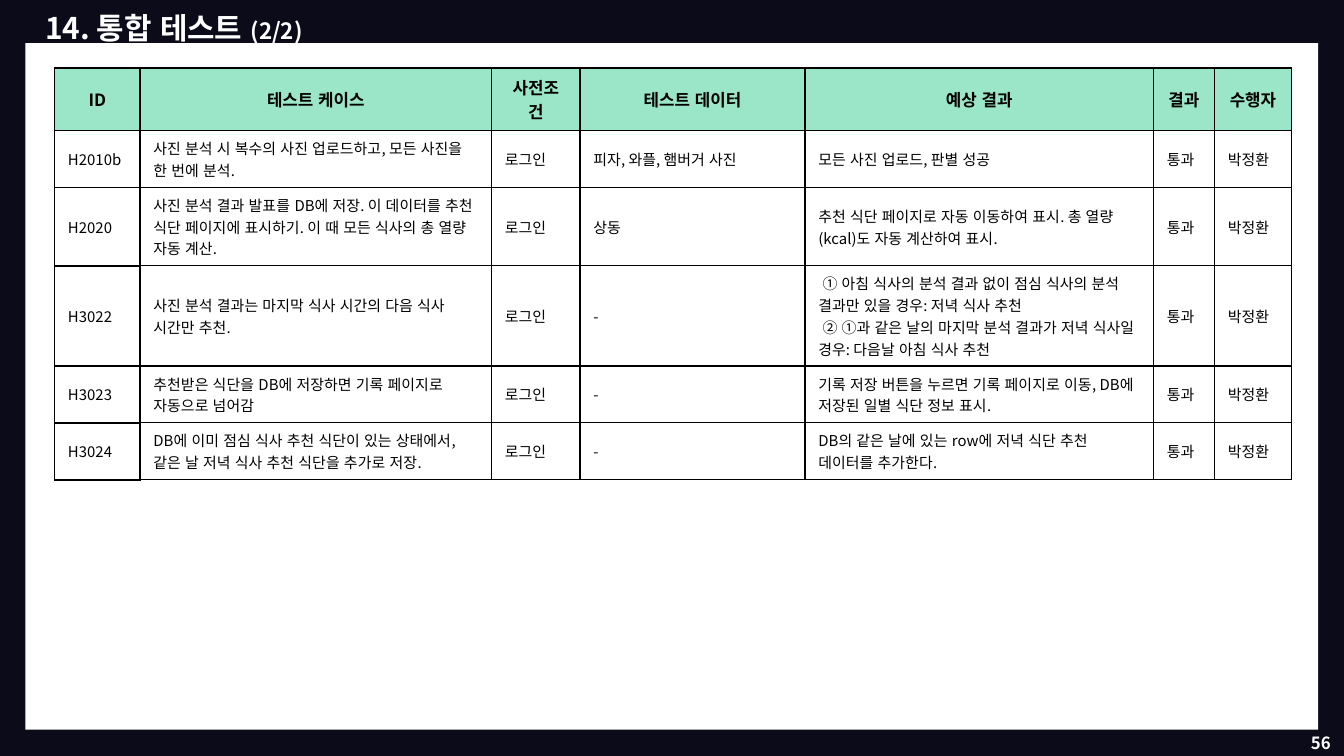
import pptx
import pptx.util
import pptx.dml.color
import pptx.enum.lang
import pptx.enum.shapes
import pptx.enum.text
import pptx.oxml
import pptx.oxml.ns
from lxml import etree

RGBColor = pptx.dml.color.RGBColor
PP_ALIGN = pptx.enum.text.PP_ALIGN
MIDDLE = pptx.enum.text.MSO_ANCHOR.MIDDLE
KOREAN = pptx.enum.lang.MSO_LANGUAGE_ID.KOREAN
qn = pptx.oxml.ns.qn

NAVY = RGBColor(0x0B, 0x0B, 0x1A)
WHITE = RGBColor(0xFF, 0xFF, 0xFF)
BLACK = RGBColor(0, 0, 0)
MINT = RGBColor(0x9B, 0xE5, 0xC8)
FONT = "Noto Sans CJK KR"

SLIDE_WIDTH = pptx.util.Inches(10)
SLIDE_HEIGHT = SLIDE_WIDTH * 9 // 16
UNIT = SLIDE_WIDTH // 100  # square grid, 100 columns across the slide

COLUMN_WIDTHS = (6.36, 26.15, 6.59, 16.74, 25.93, 4.54, 5.73)
ROW_HEIGHTS = (4.63, 4.24, 5.84, 7.45, 4.24, 4.24)
THIN, THICK = 0.78, 1

# Boxes are left, top, width, height in grid units.
PAGE_BOX = (1.88, 2, 96.2, 52.3)
NUMBER_BOX = (94, 53.1, 6, 4.3)
TABLE_BOX = (4.06, 5.07, sum(COLUMN_WIDTHS), sum(ROW_HEIGHTS))
TITLE_BOX = (1.64, 0, 96.7, 3.2)

HEADERS = ("ID", "테스트 케이스", "사전조건", "테스트 데이터", "예상 결과", "결과", "수행자")
PRECONDITION, RESULT, TESTER = "로그인", "통과", "박정환"
# ID, test case, test data, expected result
TESTS = (
    ("H2010b", "사진 분석 시 복수의 사진 업로드하고, 모든 사진을 한 번에 분석.",
     "피자, 와플, 햄버거 사진", "모든 사진 업로드, 판별 성공"),
    ("H2020", "사진 분석 결과 발표를 DB에 저장. 이 데이터를 추천 식단 페이지에 표시하기. "
     "이 때 모든 식사의 총 열량 자동 계산.",
     "상동", "추천 식단 페이지로 자동 이동하여 표시. 총 열량(kcal)도 자동 계산하여 표시."),
    ("H3022", "사진 분석 결과는 마지막 식사 시간의 다음 식사 시간만 추천.",
     "-", " ① 아침 식사의 분석 결과 없이 점심 식사의 분석 결과만 있을 경우: 저녁 식사 추천\n"
     " ② ①과 같은 날의 마지막 분석 결과가 저녁 식사일 경우: 다음날 아침 식사 추천"),
    ("H3023", "추천받은 식단을 DB에 저장하면 기록 페이지로 자동으로 넘어감",
     "-", "기록 저장 버튼을 누르면 기록 페이지로 이동, DB에 저장된 일별 식단 정보 표시."),
    ("H3024", "DB에 이미 점심 식사 추천 식단이 있는 상태에서, 같은 날 저녁 식사 추천 식단을 추가로 저장.",
     "-", "DB의 같은 날에 있는 row에 저녁 식단 추천 데이터를 추가한다."),
)


def units(count):
    return pptx.util.Emu(round(count * UNIT))


def place(box):
    return [units(length) for length in box]


def style_paragraph(paragraph, size, color, bold, alignment=PP_ALIGN.LEFT):
    paragraph.alignment = alignment
    font = paragraph.font
    font.size = pptx.util.Pt(size)
    font.bold = bold
    font.color.rgb = color
    font.name = FONT
    defaults = paragraph._p.pPr.find(qn("a:defRPr"))
    etree.SubElement(defaults, qn("a:ea"), typeface=FONT)
    for run in paragraph.runs:
        run.font.language_id = KOREAN


def set_margins(frame):
    frame.word_wrap = True
    frame.margin_left = frame.margin_right = units(1)
    frame.margin_top = frame.margin_bottom = units(1)


def add_panel(slide, box, color):
    panel = slide.shapes.add_shape(
        pptx.enum.shapes.MSO_SHAPE.RECTANGLE, *place(box))
    panel.shadow.inherit = False
    panel.fill.solid()
    panel.fill.fore_color.rgb = color
    panel.line.fill.background()
    return panel


def add_title(slide, box):
    frame = add_panel(slide, box, NAVY).text_frame
    set_margins(frame)
    frame.vertical_anchor = pptx.enum.text.MSO_ANCHOR.TOP
    paragraph = frame.paragraphs[0]
    paragraph.line_spacing = 0.9
    properties = paragraph._p.get_or_add_pPr()
    properties.set("marL", str(units(0.75)))
    properties.set("indent", "0")
    paragraph.add_run().text = "14. 통합 테스트 "
    part = paragraph.add_run()
    part.text = "(2/2)"
    part.font.size = pptx.util.Pt(12)
    style_paragraph(paragraph, 16, WHITE, True)


def add_page_number(slide, box):
    frame = slide.shapes.add_textbox(*place(box)).text_frame
    set_margins(frame)
    frame.vertical_anchor = MIDDLE
    frame.text = "56"
    style_paragraph(frame.paragraphs[0], 9, WHITE, True, PP_ALIGN.RIGHT)


def set_borders(cell, widths):
    """Draw black borders; widths are points for left, right, top, bottom."""
    properties = cell._tc.get_or_add_tcPr()
    for side, width in zip("LRTB", widths):
        line = etree.SubElement(properties, qn(f"a:ln{side}"),
                                w=str(pptx.util.Pt(width)))
        fill = etree.SubElement(line, qn("a:solidFill"))
        etree.SubElement(fill, qn("a:srgbClr"), val=str(BLACK))


def border_widths(row, column):
    if column == 0 and row > 0:
        return (THICK,) * 4
    return (THICK if column == 0 or (column == 1 and row > 0) else THIN,
            THICK if column == len(HEADERS) - 1 else THIN,
            THICK if row == 0 else THIN,
            THICK if column == 0 else THIN)


def fill_cell(cell, text, row, column):
    is_header = row == 0
    set_borders(cell, border_widths(row, column))
    if is_header:
        cell.fill.solid()
        cell.fill.fore_color.rgb = MINT
    else:
        cell.fill.background()
    cell.vertical_anchor = MIDDLE
    cell.text_frame.text = text
    for paragraph in cell.text_frame.paragraphs:
        style_paragraph(paragraph, 9 if is_header else 8, BLACK, is_header,
                        PP_ALIGN.CENTER if is_header else PP_ALIGN.LEFT)


def add_test_table(slide, box):
    rows = [HEADERS] + [
        (test_id, case, PRECONDITION, data, expected, RESULT, TESTER)
        for test_id, case, data, expected in TESTS]
    table = slide.shapes.add_table(
        len(rows), len(HEADERS), *place(box)).table
    table.first_row = table.horz_banding = False
    for column, width in zip(table.columns, COLUMN_WIDTHS):
        column.width = units(width)
    for row, height in zip(table.rows, ROW_HEIGHTS):
        row.height = units(height)
    for row, texts in enumerate(rows):
        for column, text in enumerate(texts):
            fill_cell(table.cell(row, column), text, row, column)


def main():
    presentation = pptx.Presentation()
    presentation.slide_width = SLIDE_WIDTH
    presentation.slide_height = SLIDE_HEIGHT
    slide = presentation.slides.add_slide(presentation.slide_layouts[6])
    slide.background.fill.solid()
    slide.background.fill.fore_color.rgb = NAVY
    add_panel(slide, PAGE_BOX, WHITE)
    add_page_number(slide, NUMBER_BOX)
    add_test_table(slide, TABLE_BOX)
    add_title(slide, TITLE_BOX)
    presentation.save("out.pptx")


if __name__ == "__main__":
    main()
